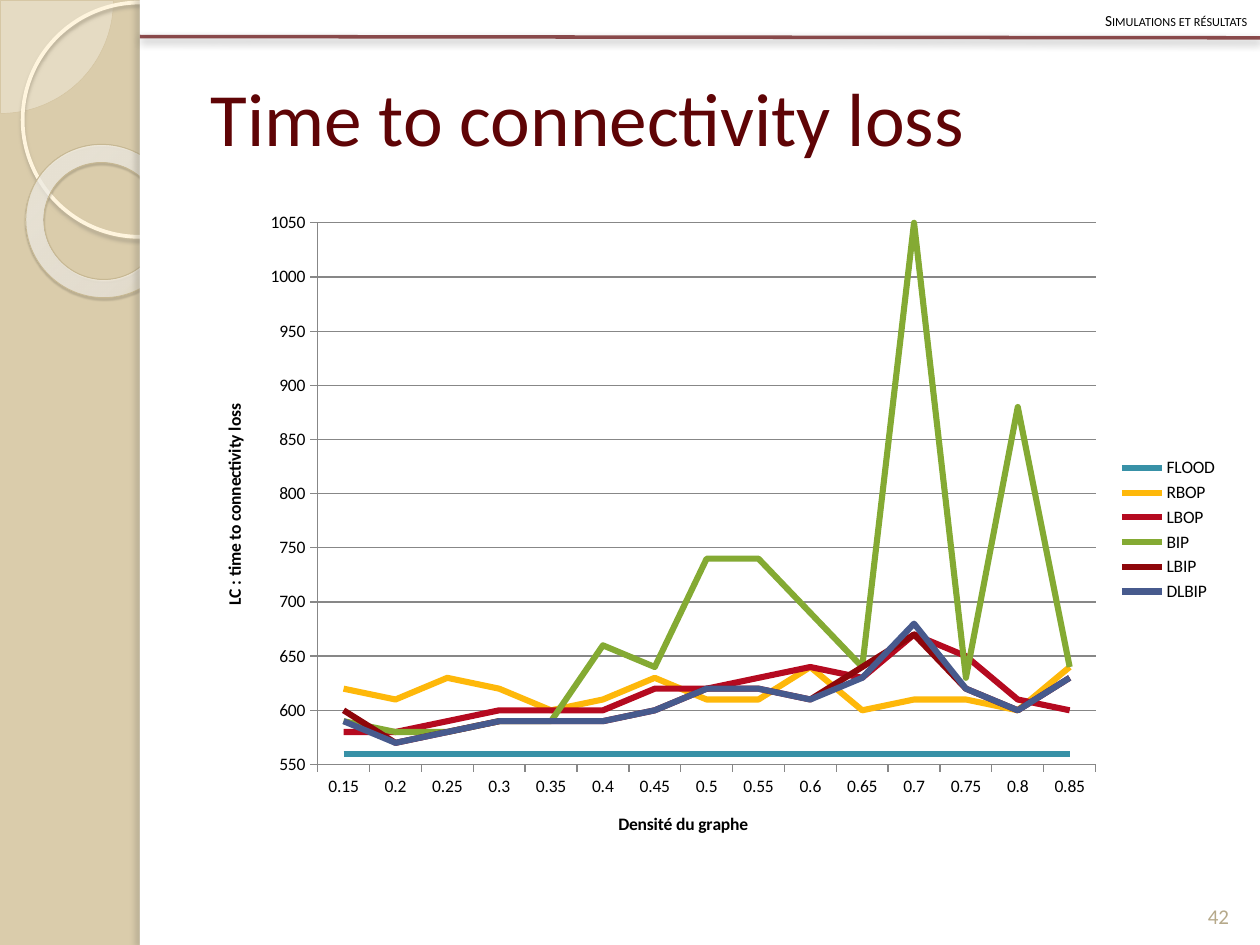
from lxml import etree
from pptx import Presentation
from pptx.chart.data import CategoryChartData as Data
from pptx.dml.color import RGBColor as RGB
from pptx.enum.chart import XL_CHART_TYPE as Kind, XL_LEGEND_POSITION as Side, XL_TICK_MARK as Tick
from pptx.enum.shapes import MSO_CONNECTOR as Link, MSO_SHAPE as Form
from pptx.enum.text import MSO_ANCHOR as Anchor, MSO_AUTO_SIZE as Auto, PP_ALIGN as Align
from pptx.oxml import parse_xml
from pptx.oxml.ns import qn
from pptx.util import Inches, Pt

TITLE = "Time to connectivity loss"
HEAD = "Simulations et résultats"
PAGE = "42"
XNAME = "Densité du graphe"
YNAME = "LC : time to connectivity loss"
CATS = ["0.15", "0.2", "0.25", "0.3", "0.35", "0.4", "0.45", "0.5",
        "0.55", "0.6", "0.65", "0.7", "0.75", "0.8", "0.85"]
SERIES = [
    ("FLOOD", "3891A7", [560] * len(CATS)),
    ("RBOP", "FEB80A", [620, 610, 630, 620, 600, 610, 630, 610, 610, 640, 600, 610, 610, 600, 640]),
    ("LBOP", "B50A20", [580, 580, 590, 600, 600, 600, 620, 620, 630, 640, 630, 670, 650, 610, 600]),
    ("BIP", "84AA33", [590, 580, 580, 590, 590, 660, 640, 740, 740, 690, 640, 1050, 630, 880, 640]),
    ("LBIP", "8E060B", [600, 570, 580, 590, 590, 590, 600, 620, 620, 610, 640, 670, 620, 600, 630]),
    ("DLBIP", "475A8D", [590, 570, 580, 590, 590, 590, 600, 620, 620, 610, 630, 680, 620, 600, 630]),
]
COLOR = {"sand": "DACCAB", "white": "FFFFFF", "black": "000000", "wine": "5F0406",
         "page": "B6A98A", "grid": "878787", "pie": "FEFAF4", "rim": "D3C39F",
         "ring": "FFF5DE", "glow": "B0A68F", "edge": "C7B893", "dusk": "5A5444",
         "side": "736F63"}
STOPS = [(0, "FFFCF6", 70), (70, "FFFEFB", 55), (100, "F0D28E", 60)]
PLOT = {"x": 0.116, "y": 0.036, "w": 0.753, "h": 0.819}
FONT = "Calibri"
BAR = 1.11
NS = 'xmlns:a="http://schemas.openxmlformats.org/drawingml/2006/main"'


def rgb(name):
    return RGB.from_string(COLOR.get(name, name))


def box(*nums):
    return [Inches(n) for n in nums]


def fade(node, pct):
    for tint in node.iter(qn("a:srgbClr")):
        etree.SubElement(tint, qn("a:alpha")).set("val", str(pct * 1000))


def shade(shape, color, pct, blur, dist, turn):
    spot = shape._element.spPr
    old = spot.find(qn("a:effectLst"))
    if old is not None:
        spot.remove(old)
    spot.append(parse_xml(
        f'<a:effectLst {NS}><a:outerShdw blurRad="{Pt(blur)}" dist="{Pt(dist)}" '
        f'dir="{turn * 60000}" algn="ctr" rotWithShape="0"><a:srgbClr val="{COLOR[color]}">'
        f'<a:alpha val="{pct * 1000}"/></a:srgbClr></a:outerShdw></a:effectLst>'))


def draw(form, at, fill=None, line=None, adj=(), alpha=None, shadow=None, turn=0):
    shape = slide.shapes.add_shape(form, *box(*at))
    shape.shadow.inherit = False
    shape.rotation = turn
    for i, num in enumerate(adj):
        shape.adjustments[i] = num
    if fill:
        shape.fill.solid()
        shape.fill.fore_color.rgb = rgb(fill)
        if alpha:
            fade(shape._element.spPr.find(qn("a:solidFill")), alpha)
    else:
        shape.fill.background()
    if line:
        shape.line.color.rgb = rgb(line[0])
        shape.line.width = Pt(line[1])
    else:
        shape.line.fill.background()
    if shadow:
        shade(shape, *shadow)
    return shape


def style(font, size, color="black", bold=False):
    font.name, font.size, font.bold = FONT, Pt(size), bold
    font.color.rgb = rgb(color)


def write(shape, text, at, size, color="black", align=Align.LEFT,
          anchor=Anchor.MIDDLE, small=False, space=None, before=0):
    shape.left, shape.top, shape.width, shape.height = box(*at)
    frame = shape.text_frame
    frame.word_wrap = True
    frame.auto_size = Auto.NONE
    frame.vertical_anchor = anchor
    para = frame.paragraphs[0]
    para.alignment = align
    para.space_before = Pt(before)
    if space:
        para.line_spacing = space
    run = para.add_run()
    run.text = text
    style(run.font, size, color)
    if small:
        run._r.get_or_add_rPr().set("cap", "small")
    return para


def name(axis, text):
    frame = axis.axis_title.text_frame
    run = frame.paragraphs[0].add_run()
    run.text = text
    style(run.font, 10, bold=True)


deck = Presentation()
deck.slide_width, deck.slide_height = box(10, 7.5)
slide = deck.slides.add_slide(deck.slide_layouts[1])
slide.background.fill.solid()
slide.background.fill.fore_color.rgb = rgb("sand")

draw(Form.PIE, (-0.89, -0.89, 1.79, 1.79), "pie", ("rim", 0.25), (0, 54.02), 33)
draw(Form.OVAL, (0.18, 0.02, 1.86, 1.86), line=("ring", 2.15), shadow=("glow", 85, 2, 2, 90))
ring = draw(Form.DONUT, (0.2, 1.15, 1.23, 1.21), "white", ("edge", 0.58), (0.12,),
            shadow=("dusk", 35, 1, 1.2, 75), turn=38.6)
stops = "".join(f'<a:gs pos="{p * 1000}"><a:srgbClr val="{c}"><a:alpha val="{a * 1000}"/>'
                "</a:srgbClr></a:gs>" for p, c, a in STOPS)
flat = ring._element.spPr.find(qn("a:solidFill"))
flat.getparent().replace(flat, parse_xml(
    f'<a:gradFill {NS}><a:gsLst>{stops}</a:gsLst><a:path path="circle">'
    '<a:fillToRect l="-408000" t="-50000" r="508000" b="150000"/></a:path></a:gradFill>'))
draw(Form.RECTANGLE, (BAR, 0, 10 - BAR, 7.5), "white")
draw(Form.RECTANGLE, (BAR, 0, 0.08, 7.5), "white", shadow=("side", 25, 3, 3, 180))

rule = slide.shapes.add_connector(Link.STRAIGHT, *box(BAR, 0.29, 10, 0.3))
rule.line.color.rgb = rgb("wine")
rule.line.width = Pt(2)
fade(rule._element.spPr.find(qn("a:ln")), 70)
shade(rule, "black", 43, 5, 2, 90)

title, body = slide.placeholders
write(title, TITLE, (1.57, 0.3, 8.2, 1.25), 43, "wine")
head = write(body, HEAD, (0, 0, 10, 0.29), 8.8, align=Align.RIGHT, small=True, space=1.2, before=6)
props = head._p.get_or_add_pPr()
props.set("marL", "0")
props.set("indent", "0")
etree.SubElement(props, qn("a:buNone"))
for part in (title, body):
    slide.shapes._spTree.append(part._element)
at = (9.42, 6.9, 0.5, 0.52)
write(slide.shapes.add_textbox(*box(*at)), PAGE, at, 12, "page", Align.CENTER, Anchor.BOTTOM)

data = Data()
data.categories = CATS
for label, _, vals in SERIES:
    data.add_series(label, vals)
chart = slide.shapes.add_chart(Kind.LINE, *box(1.57, 1.58, 8.2, 5.25), data).chart
style(chart.font, 10)
chart.has_title = False
chart.has_legend = True
chart.legend.position = Side.RIGHT
chart.legend.include_in_layout = False
plot = chart.plots[0]
plot.vary_by_categories = False
for line, (_, color, _) in zip(plot.series, SERIES):
    line.smooth = False
    line.format.line.color.rgb = rgb(color)
    line.format.line.width = Pt(3.5)
xaxis, yaxis = chart.category_axis, chart.value_axis
yaxis.minimum_scale, yaxis.maximum_scale, yaxis.major_unit = 550, 1050, 50
yaxis.has_major_gridlines = True
for axis, text in ((xaxis, XNAME), (yaxis, YNAME)):
    name(axis, text)
    axis.major_tick_mark = Tick.OUTSIDE
    axis.minor_tick_mark = Tick.NONE
    axis.format.line.color.rgb = rgb("grid")
yaxis.major_gridlines.format.line.color.rgb = rgb("grid")

area = chart._chartSpace.chart.plotArea
old = area.find(qn("c:layout"))
if old is not None:
    area.remove(old)
layout = etree.Element(qn("c:layout"))
area.insert(0, layout)
spot = etree.SubElement(layout, qn("c:manualLayout"))
rules = {"layoutTarget": "inner", "xMode": "edge", "yMode": "edge", **PLOT}
for key, val in rules.items():
    etree.SubElement(spot, qn("c:" + key)).set("val", str(val))

deck.save("out.pptx")
